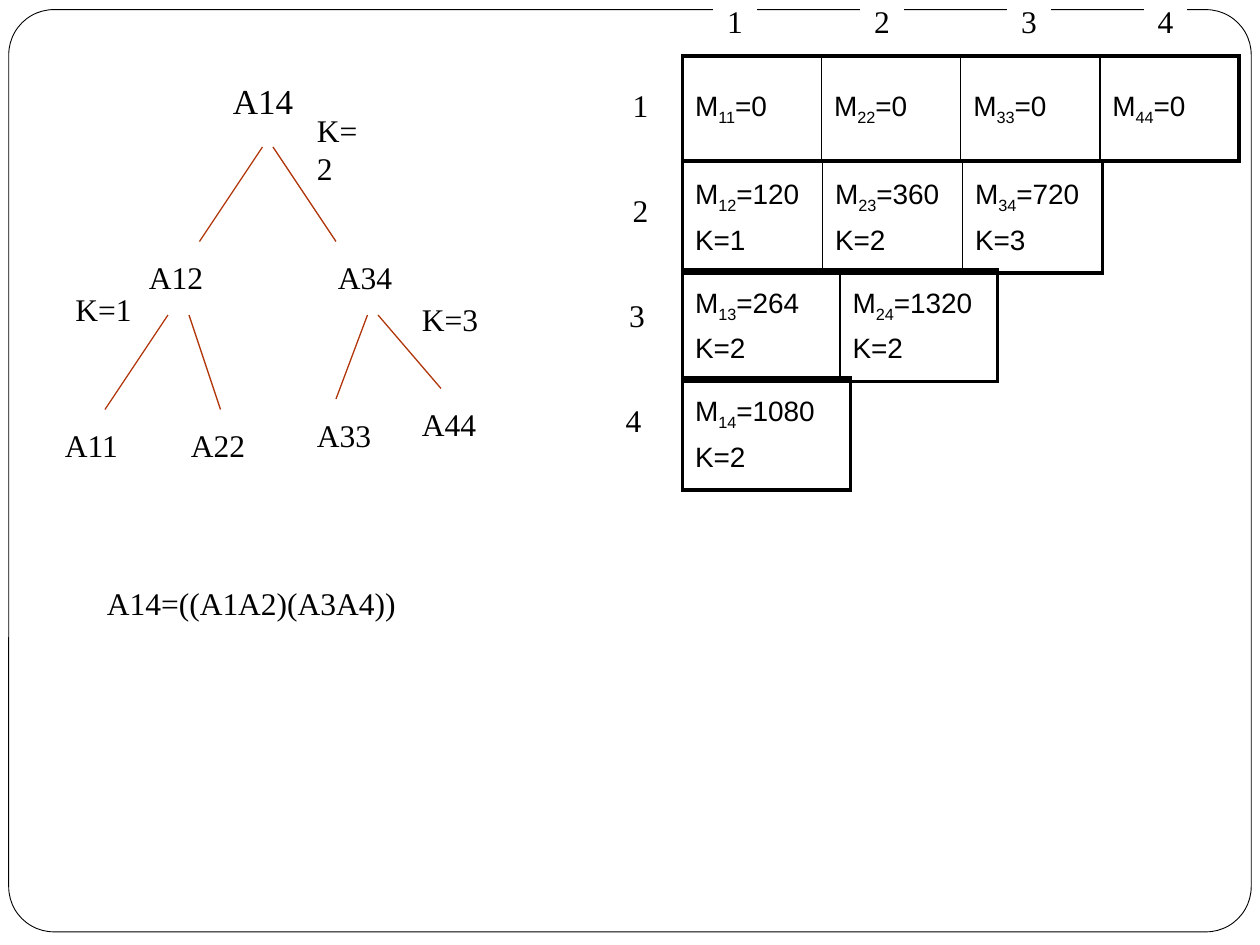
from lxml import etree
from pptx import Presentation
from pptx.dml.color import RGBColor
from pptx.enum.shapes import MSO_CONNECTOR, MSO_SHAPE
from pptx.enum.text import MSO_ANCHOR, PP_ALIGN
from pptx.oxml.ns import qn
from pptx.util import Pt

BLACK = RGBColor(0x00, 0x00, 0x00)
WHITE = RGBColor(0xFF, 0xFF, 0xFF)
RUST = RGBColor(0xB1, 0x36, 0x0B)
SERIF, SANS = "Times New Roman", "Arial"
STRAIGHT = MSO_CONNECTOR.STRAIGHT
RECTANGLE, ROUNDED = MSO_SHAPE.RECTANGLE, MSO_SHAPE.ROUNDED_RECTANGLE
MIDDLE = MSO_ANCHOR.MIDDLE
CENTER, LEFT = PP_ALIGN.CENTER, PP_ALIGN.LEFT
THICK, THIN = 2.25, 1

# Top and height of each diagonal, its column width, and (indices, cost, split) per cell
COST_ROWS = [
    (0, 60, 79.5, [("11", 0, None), ("22", 0, None), ("33", 0, None), ("44", 0, None)]),
    (60, 64, 80, [("12", 120, 1), ("23", 360, 2), ("34", 720, 3)]),
    (122, 64, 90, [("13", 264, 2), ("24", 1320, 2)]),
    (184, 64, 96, [("14", 1080, 2)]),
]
# Text, left, top, width, size
TREE_LABELS = [
    ("A14", 96, 0, 84, 20),
    ("K=2", 144, 18, 46, 18),
    ("A12", 48, 102, 66, 18),
    ("A34", 156, 102, 84, 18),
    ("K=1", 6, 120, 48, 18),
    ("K=3", 204, 126, 54, 18),
    ("A11", 0, 198, 54, 18),
    ("A22", 72, 198, 48, 18),
    ("A33", 144, 192, 48, 18),
    ("A44", 204, 186, 48, 18),
]
# Start x, start y, end x, end y
BRANCHES = [
    (120, 42, 84, 96), (126, 42, 162, 96),
    (66, 138, 30, 192), (78, 138, 96, 192),
    (180, 138, 162, 186), (186, 138, 222, 180),
]


def write(paragraph, text, size=18, font=SERIF, align=LEFT, baseline=0):
    run = paragraph.add_run()
    run.text = text
    run.font.size = Pt(size)
    run.font.name = font
    run.font.color.rgb = BLACK
    if baseline:
        run.font._element.set("baseline", str(baseline * 1000))
    paragraph.alignment = align


def add_panel(slide, preset, left, top, width, height, line_color, line_width):
    panel = slide.shapes.add_shape(preset, Pt(left), Pt(top), Pt(width), Pt(height))
    panel.shadow.inherit = False
    panel.fill.solid()
    panel.fill.fore_color.rgb = WHITE
    panel.line.color.rgb = line_color
    panel.line.width = Pt(line_width)
    return panel


def add_frame(slide, left, top, width, height):
    frame = add_panel(slide, ROUNDED, left, top, width, height, BLACK, 0.5)
    frame.adjustments[0] = 0.049


def add_label(slide, text, left, top, width, height=29, size=18):
    label = slide.shapes.add_textbox(Pt(left), Pt(top), Pt(width), Pt(height))
    label.text_frame.word_wrap = True
    write(label.text_frame.paragraphs[0], text, size=size)


def add_index(slide, text, left, top, side=24):
    index = add_panel(slide, RECTANGLE, left, top, side, side, WHITE, 0.75)
    index.text_frame.word_wrap = False
    index.text_frame.vertical_anchor = MIDDLE
    write(index.text_frame.paragraphs[0], text, align=CENTER)


def set_borders(cell, **widths):
    """Draw black cell borders; keys are lnL, lnR, lnT, lnB in schema order."""
    properties = cell._tc.get_or_add_tcPr()
    for position, (side, width) in enumerate(widths.items()):
        line = etree.Element(qn(f"a:{side}"), w=str(int(Pt(width))))
        fill = etree.SubElement(line, qn("a:solidFill"))
        etree.SubElement(fill, qn("a:srgbClr"), val=str(BLACK))
        properties.insert(position, line)


def fill_cost_cell(cell, indices, cost, split):
    cell.fill.background()
    cell.vertical_anchor = MIDDLE
    lines = [[("M", 0), (indices, -25), (f"={cost}", 0)]]
    if split is not None:
        lines.append([(f"K={split}", 0)])
    for number, parts in enumerate(lines):
        frame = cell.text_frame
        paragraph = frame.add_paragraph() if number else frame.paragraphs[0]
        paragraph.line_spacing = 1.04
        paragraph.space_before = Pt(5)
        for text, baseline in parts:
            write(paragraph, text, size=16, font=SANS, baseline=baseline)


def add_cost_row(slide, left, top, height, column_width, entries):
    count = len(entries)
    table = slide.shapes.add_table(
        1, count, Pt(left), Pt(top), Pt(column_width * count), Pt(height)).table
    table.first_row = table.horz_banding = False
    table.rows[0].height = Pt(height)
    for column, entry in enumerate(entries):
        table.columns[column].width = Pt(column_width)
        cell = table.cell(0, column)
        fill_cost_cell(cell, *entry)
        set_borders(cell,
                    lnL=THIN if column else THICK,
                    lnR=THICK if column == count - 1 else THIN,
                    lnT=THICK, lnB=THICK)


def add_cost_matrix(slide, left, top):
    for row_top, height, column_width, entries in COST_ROWS:
        add_cost_row(slide, left, top + row_top, height, column_width, entries)
    for row, offset in enumerate((-36, -36, -38, -40)):
        add_index(slide, str(row + 1), left + offset, top + 16 + 60 * row)
    for column, offset in enumerate((18, 102, 186, 264)):
        add_index(slide, str(column + 1), left + offset, top - 32)


def add_split_tree(slide, left, top):
    for x1, y1, x2, y2 in BRANCHES:
        branch = slide.shapes.add_connector(
            STRAIGHT, Pt(left + x1), Pt(top + y1), Pt(left + x2), Pt(top + y2))
        branch.line.color.rgb = RUST
        branch.line.width = Pt(0.75)
        etree.SubElement(branch._element.spPr, qn("a:effectLst"))
    for text, x, y, width, size in TREE_LABELS:
        add_label(slide, text, left + x, top + y, width, size=size)


def main():
    deck = Presentation()
    deck.slide_width, deck.slide_height = Pt(720), Pt(540)
    slide = deck.slides.add_slide(deck.slide_layouts[6])
    add_frame(slide, 5, 5.5, 710, 527)
    add_cost_matrix(slide, 390, 32)
    add_split_tree(slide, 30, 42)
    add_label(slide, "A14=((A1A2)(A3A4))", 54, 330, 264)
    deck.save("out.pptx")


if __name__ == "__main__":
    main()
